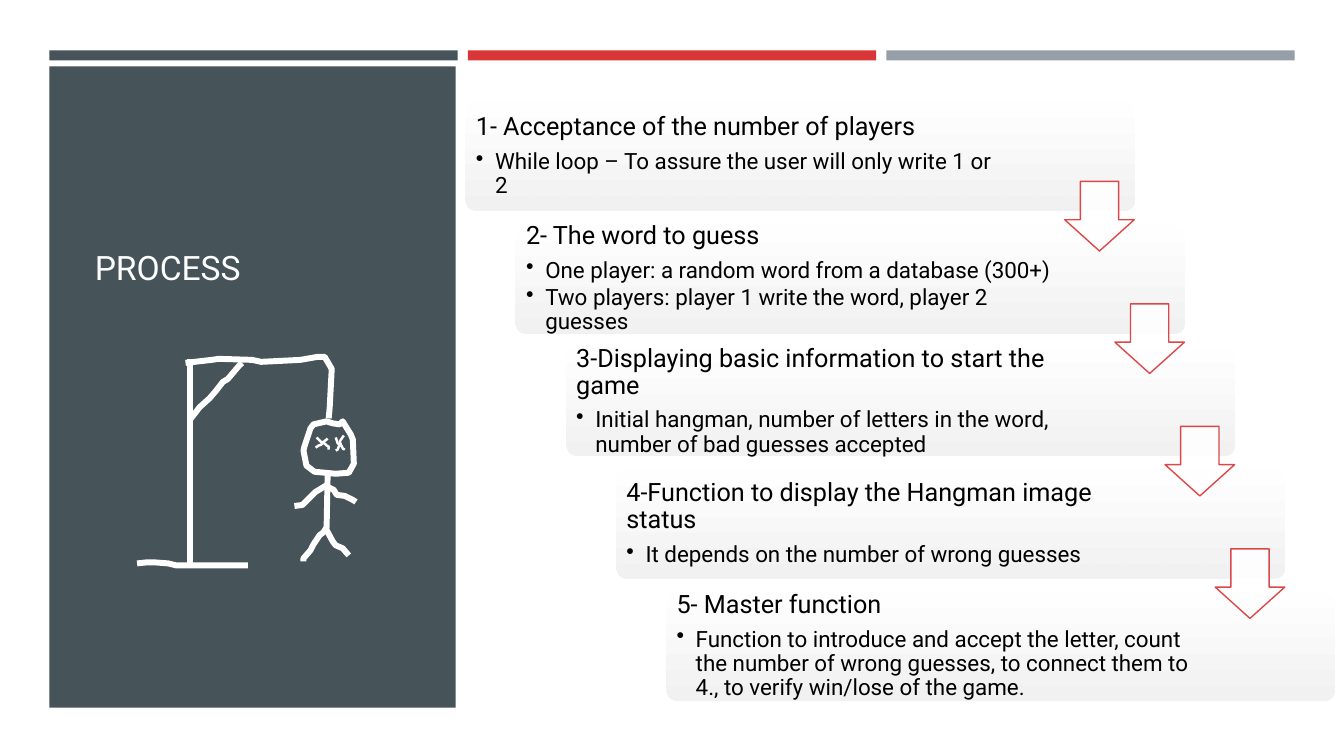
from dataclasses import dataclass

from lxml.etree import SubElement
from pptx import Presentation
from pptx.dml.color import RGBColor
from pptx.enum.shapes import MSO_CONNECTOR as Link, MSO_SHAPE as Shape
from pptx.enum.text import MSO_ANCHOR as Anchor, MSO_AUTO_SIZE as AutoSize, PP_ALIGN as Align
from pptx.oxml.ns import qn
from pptx.util import Inches, Pt


@dataclass(frozen=True)
class Theme:
    font: str = "Roboto"
    slate: str = "465359"
    red: str = "D93737"
    arrow_red: str = "D93437"
    grey: str = "969FA7"
    card_end: str = "F2F2F2"
    white: str = "FFFFFF"
    black: str = "000000"
    title: float = 24
    heading: float = 18
    bullet: float = 16
    chalk: float = 4.25
    eye: float = 1.75


@dataclass(frozen=True)
class Step:
    heading: str
    bullets: tuple[str, ...]


@dataclass(frozen=True)
class Stroke:
    points: tuple[tuple[int, int], ...]
    weight: float
    closed: bool = False


T = Theme()

STEPS = (
    Step("1- Acceptance of the number of players",
         ("While loop – To assure the user will only write 1 or 2",)),
    Step("2- The word to guess",
         ("One player: a random word from a database (300+)",
          "Two players: player 1 write the word, player 2 guesses")),
    Step("3-Displaying basic information to start the game",
         ("Initial hangman, number of letters in the word, number of bad guesses accepted",)),
    Step("4-Function to display the Hangman image status",
         ("It depends on the number of wrong guesses",)),
    Step("5- Master function",
         ("Function to introduce and accept the letter, count the number of wrong guesses, "
          "to connect them to 4., to verify win/lose of the game.",)),
)

BASE = Stroke(((136, 559), (145, 558), (154, 558), (167, 559), (175, 561), (246, 561)), T.chalk)
BEAM = Stroke(((184, 360), (210, 357), (217, 356), (250, 357), (259, 359), (298, 357),
               (315, 354), (322, 354), (329, 366), (327, 404), (326, 415)), T.chalk)
BRACE = Stroke(((188, 417), (198, 404), (208, 395), (214, 388), (221, 379), (226, 376),
                (237, 363), (240, 360)), T.chalk)
HEAD = Stroke(((337, 421), (330, 420), (324, 418), (311, 421), (308, 425), (302, 443),
               (301, 447), (304, 462), (312, 468), (333, 470), (346, 469), (351, 460),
               (350, 436), (348, 431), (343, 423), (340, 418)), T.chalk, True)
BODY = Stroke(((325, 470), (324, 523), (321, 528), (317, 531), (311, 540), (308, 546),
               (301, 554), (301, 557)), T.chalk)
LEG = Stroke(((323, 524), (330, 537), (333, 541), (340, 544), (346, 551)), T.chalk)
ARMS = Stroke(((292, 502), (300, 501), (310, 491), (313, 488), (323, 482), (331, 486),
               (334, 491), (342, 492), (346, 494), (350, 496), (353, 498)), T.chalk)
EYES = (
    Stroke(((313, 444), (316, 442), (319, 441), (320, 439), (324, 436), (325, 435)), T.eye),
    Stroke(((314, 434), (319, 439), (322, 440), (324, 442), (326, 443), (326, 446)), T.eye),
    Stroke(((333, 434), (334, 437), (335, 440), (338, 441), (340, 445), (342, 446)), T.eye),
    Stroke(((341, 432), (337, 438), (338, 441), (336, 443), (335, 446), (333, 447)), T.eye),
)
HANGMAN = (BASE, BEAM, BRACE, HEAD, BODY, LEG, ARMS, *EYES)


def rgb(color: str) -> RGBColor:
    return RGBColor.from_string(color)


def write(p, text: str, *, size: float, color: str = T.black, spacing: float | None = None,
          before: float = 0, bullet: bool = False) -> None:
    p.alignment = Align.LEFT
    p.space_before = Pt(before)
    if spacing:
        p.line_spacing = spacing
    r = p.add_run()
    r.text = text
    r.font.name = T.font
    r.font.size = Pt(size)
    r.font.color.rgb = rgb(color)
    if bullet:
        p.level = 1
        props = p._p.get_or_add_pPr()
        props.set("marL", str(Inches(0.19)))
        props.set("indent", str(-Inches(0.19)))
        SubElement(props, qn("a:buChar")).set("char", "•")


def add_box(slide, kind: Shape, left: float, top: float, width: float, height: float):
    sp = slide.shapes.add_shape(kind, Inches(left), Inches(top), Inches(width), Inches(height))
    sp.shadow.inherit = False
    sp.line.fill.background()
    return sp


def add_panel(slide, left: float, top: float, width: float, height: float, color: str) -> None:
    sp = add_box(slide, Shape.RECTANGLE, left, top, width, height)
    sp.fill.solid()
    sp.fill.fore_color.rgb = rgb(color)


def fade(colors) -> None:
    for color in colors:
        SubElement(color, qn("a:alpha")).set("val", "90000")


def add_card(slide, step: Step, left: float, top: float) -> None:
    sp = add_box(slide, Shape.ROUNDED_RECTANGLE, left, top, 6.63, 1.07)
    sp.adjustments[0] = 0.1
    sp.fill.gradient()
    sp.fill.gradient_angle = 270
    for stop, color in zip(sp.fill.gradient_stops, (T.white, T.card_end)):
        stop.color.rgb = rgb(color)
    fade(list(sp.element.spPr.iter(qn("a:srgbClr")))[:1])

    tf = slide.shapes.add_textbox(
        Inches(left + 0.03), Inches(top + 0.03), Inches(5.38), Inches(1)).text_frame
    tf.word_wrap = True
    tf.vertical_anchor = Anchor.MIDDLE
    tf.margin_left = tf.margin_right = tf.margin_top = tf.margin_bottom = Inches(0.07)
    write(tf.paragraphs[0], step.heading, size=T.heading, spacing=0.9)
    for i, text in enumerate(step.bullets):
        write(tf.add_paragraph(), text, size=T.bullet, spacing=0.9,
              before=2.4 if i else 6.3, bullet=True)


def add_arrow(slide, left: float, top: float) -> None:
    sp = add_box(slide, Shape.DOWN_ARROW, left, top, 0.69, 0.69)
    sp.adjustments[0] = 0.55
    sp.adjustments[1] = 0.45
    sp.fill.solid()
    sp.fill.fore_color.rgb = rgb(T.white)
    sp.line.color.rgb = rgb(T.arrow_red)
    sp.line.width = Pt(1)
    fade(list(sp.element.spPr.iter(qn("a:srgbClr"))))


def add_stroke(slide, stroke: Stroke) -> None:
    (x, y), *rest = stroke.points
    builder = slide.shapes.build_freeform(x, y, scale=Inches(0.01))
    builder.add_line_segments(rest, close=stroke.closed)
    sp = builder.convert_to_shape()
    sp.shadow.inherit = False
    sp.fill.background()
    sp.line.color.rgb = rgb(T.white)
    sp.line.width = Pt(stroke.weight)


def add_pole(slide) -> None:
    pole = slide.shapes.add_connector(
        Link.STRAIGHT, Inches(1.88), Inches(5.6), Inches(1.88), Inches(3.56))
    pole.line.color.rgb = rgb(T.white)
    pole.line.width = Pt(T.chalk)
    SubElement(pole._element.spPr, qn("a:effectLst"))


def add_title(slide, text: str) -> None:
    title = slide.shapes.title
    title.left, title.top = Inches(0.84), Inches(1.02)
    title.width, title.height = Inches(3.32), Inches(1.88)
    tf = title.text_frame
    tf.auto_size = AutoSize.NONE
    tf.vertical_anchor = Anchor.BOTTOM
    write(tf.paragraphs[0], text, size=T.title, color=T.white)
    tree = title.element.getparent()
    tree.append(title.element)


def main() -> None:
    prs = Presentation()
    prs.slide_width, prs.slide_height = Inches(13.33), Inches(7.5)
    slide = prs.slides.add_slide(prs.slide_layouts[5])

    for i, color in enumerate((T.slate, T.red, T.grey)):
        add_panel(slide, 0.49 + 4.15 * i, 0.5, 4.05, 0.1, color)
    add_panel(slide, 0.49, 0.66, 4.03, 6.36, T.slate)
    add_title(slide, "PROCESS")

    gaps = len(STEPS) - 1
    corners = [(4.62 + 1.99 * i / gaps, 1.02 + 4.86 * i / gaps) for i in range(len(STEPS))]
    for step, (left, top) in zip(STEPS, corners):
        add_card(slide, step, left, top)
    for left, top in corners[:-1]:
        add_arrow(slide, left + 5.94, top + 0.78)

    add_pole(slide)
    for stroke in HANGMAN:
        add_stroke(slide, stroke)
    prs.save("out.pptx")


if __name__ == "__main__":
    main()
